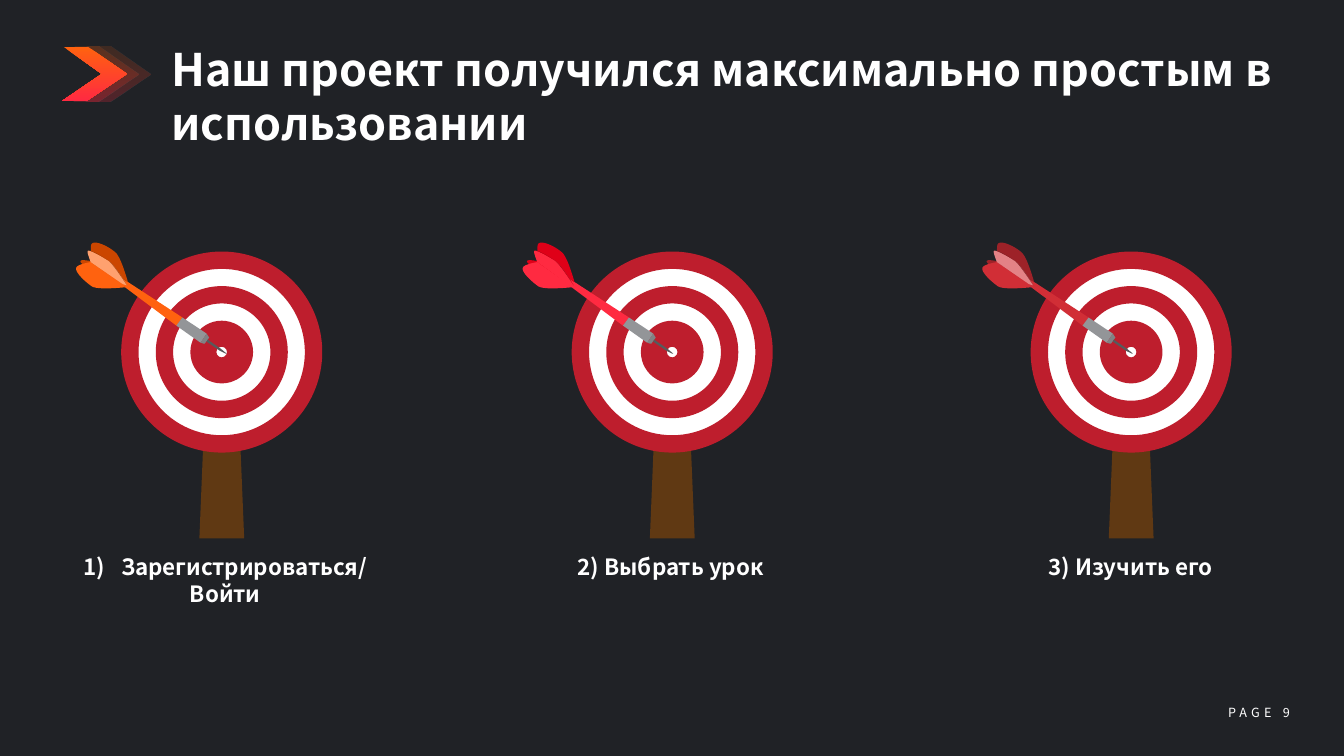
from dataclasses import dataclass

from lxml import etree
from pptx import Presentation
from pptx.dml.color import RGBColor
from pptx.enum import shapes, text
from pptx.oxml import ns
from pptx.util import Pt


@dataclass(frozen=True)
class Theme:
    font: str = "Noto Sans CJK SC"
    background: str = "202226"
    white: str = "FFFFFF"
    post: str = "603913"
    ring: str = "BE1E2D"
    grip: str = "939598"
    collar: str = "808285"
    needle: str = "58595B"
    chevron: tuple = ("FF620F", "FF2A41")
    title_size: int = 32
    caption_size: int = 16
    page_size: int = 9


THEME = Theme()
CENTER_Y = 251.5
DART_TOP = 172.8
RINGS = ((143.6, 12.4), (94.3, 12.4), (44.8, 18.6))  # diameter, thickness

# Two numbers are a line to a point, six are a Bézier curve.
DART_PARTS = (
    ("dark", ((10.8, 13.7), (33.8, 29.5), (36, 31.7),
              (36, 31.7, 20.2, 28.1, 15.8, 24.5),
              (10.8, 20.9, 2.2, 14.4, 3.6, 13.7),
              (3.6, 12.2, 10.8, 13.7, 10.8, 13.7))),
    ("main", ((72, 59.8), (76.3, 54), (16.6, 15.1), (15.1, 17.3))),
    ("main", ((10.8, 14.4), (33.1, 30.2), (35.3, 32.4),
              (35.3, 32.4, 15.8, 34.6, 11.5, 31.7),
              (6.5, 28.1, -1.4, 20.9, 0.7, 18),
              (2.2, 15.8, 10.8, 14.4, 10.8, 14.4))),
    ("dark", ((11.5, 11.5), (37.4, 28.8),
              (37.4, 28.8, 32.4, 10.1, 28.1, 7.2),
              (23, 2.9, 13.7, -1.4, 11.5, 1.4),
              (10.1, 3.6, 11.5, 11.5, 11.5, 11.5))),
    ("light", ((10.8, 14.4), (33.8, 30.2), (36.7, 31),
               (36.7, 31, 28.1, 16.6, 23.8, 13.7),
               (18, 10.1, 9.4, 5, 8.6, 6.5),
               (7.9, 7.2, 10.8, 14.4, 10.8, 14.4))),
    ("grip", ((89.3, 72), (93.6, 65.5), (76.3, 54), (72, 59.8))),
    ("collar", ((95, 67.7), (95.4, 68.4), (92.2, 72.7), (91.4, 72.7),
                (89.3, 72), (93.6, 65.5))),
    ("edge", ((23.8, 13.7), (18.7, 10.1, 10.1, 5, 8.6, 6.5),
              (9.4, 5, 18.7, 10.1, 23.8, 13.7),
              (28.1, 16.6, 36.7, 31, 36.7, 31),
              (35.3, 28.8, 27.4, 16.6, 23.8, 13.7))),
    ("needle", ((103, 77.8), (107.3, 79.9), (108, 79.9), (103.7, 76.3),
                (94.3, 69.8), (93.6, 71.3))),
)

# Target centre, dart left, and the dart's main, dark, light and edge colours.
STEPS = (
    (158.4, 54, ("FF620F", "CB4600", "FFA16F", "872F00")),
    (480.2, 373, ("FF2A41", "DF0018", "FF2A41", "940010")),
    (808, 701.3, ("D12E36", "9D2228", "E38286", "68171B")),
)
# Left, width and lines of each caption.
CAPTIONS = (
    (47.5, 226.8, ("Зарегистрироваться/", "Войти")),
    (398.9, 160.6, ("2) Выбрать урок",)),
    (732.2, 150.5, ("3) Изучить его",)),
)


def paint(shape, color):
    shape.shadow.inherit = False
    shape.line.fill.background()
    shape.fill.solid()
    shape.fill.fore_color.rgb = RGBColor.from_string(color)


def flatten(segments, steps=12):
    """Turn lines and Bézier curves into a list of points."""
    points = [segments[0]]
    for segment in segments[1:]:
        if len(segment) == 2:
            points.append(segment)
            continue
        controls = (points[-1], segment[:2], segment[2:4], segment[4:])
        for step in range(1, steps + 1):
            t = step / steps
            weights = ((1 - t) ** 3, 3 * t * (1 - t) ** 2, 3 * t * t * (1 - t), t ** 3)
            points.append(tuple(sum(weight * control[axis] for weight, control in zip(weights, controls))
                                for axis in (0, 1)))
    return points


def add_outline(parent, segments, left, top, color):
    points = [(Pt(left + x), Pt(top + y)) for x, y in flatten(segments)]
    builder = parent.build_freeform(*points[0], scale=1.0)
    builder.add_line_segments(points[1:], close=True)
    shape = builder.convert_to_shape()
    paint(shape, color)
    return shape


def add_round(parent, preset, center_x, diameter, color):
    shape = parent.add_shape(preset, Pt(center_x - diameter / 2), Pt(CENTER_Y - diameter / 2),
                             Pt(diameter), Pt(diameter))
    paint(shape, color)
    return shape


def add_target(slide, center_x):
    group = slide.shapes.add_group_shape().shapes
    add_outline(group, ((16, 98), (-16, 98), (-12, 0), (12, 0)), center_x, 286.5, THEME.post)
    add_round(group, shapes.MSO_SHAPE.OVAL, center_x, 135, THEME.white)
    for diameter, thickness in RINGS:
        ring = add_round(group, shapes.MSO_SHAPE.DONUT, center_x, diameter, THEME.ring)
        ring.adjustments[0] = thickness / diameter


def add_dart(slide, left, colors):
    palette = dict(zip(("main", "dark", "light", "edge"), colors),
                   grip=THEME.grip, collar=THEME.collar, needle=THEME.needle)
    group = slide.shapes.add_group_shape().shapes
    for part, segments in DART_PARTS:
        add_outline(group, segments, left, DART_TOP, palette[part])


def add_chevron(slide, left, opacities):
    outline = ((0, 39), (28.5, 19.5), (1.1, 0), (18.5, 0), (46.6, 19.5), (17.4, 39))
    shape = add_outline(slide.shapes, outline, left, 33.3, THEME.chevron[0])
    shape.fill.gradient()
    shape.fill.gradient_angle = 270
    for stop, color in zip(shape.fill.gradient_stops, THEME.chevron):
        stop.color.rgb = RGBColor.from_string(color)
    for color, opacity in zip(shape._element.iter(ns.qn("a:srgbClr")), opacities):
        if opacity < 100:
            etree.SubElement(color, ns.qn("a:alpha"), val=str(opacity * 1000))


def add_text(slide, lines, box, size, bold=True, wrap=False, align=text.PP_ALIGN.CENTER):
    frame = slide.shapes.add_textbox(*map(Pt, box)).text_frame
    frame.text = "\n".join(lines)
    frame.word_wrap = wrap
    frame.auto_size = text.MSO_AUTO_SIZE.SHAPE_TO_FIT_TEXT
    for paragraph in frame.paragraphs:
        paragraph.alignment = align
        for run in paragraph.runs:
            style_run(run, size, bold)
    return frame


def style_run(run, size, bold):
    run.font.name = THEME.font
    run.font.size = Pt(size)
    run.font.bold = bold
    run.font.color.rgb = RGBColor.from_string(THEME.white)


def number_paragraph(paragraph):
    properties = paragraph._p.get_or_add_pPr()
    properties.set("marL", str(Pt(27)))
    properties.set("indent", str(Pt(-27)))
    etree.SubElement(properties, ns.qn("a:buAutoNum"), type="arabicParenR")


def add_page_number(slide):
    paragraph = add_text(slide, ["PAGE "], (865.4, 499.7, 67.7, 18), THEME.page_size, bold=False).paragraphs[0]
    paragraph.runs[0].font._element.set("spc", "300")
    number = paragraph.add_run()
    number.text = "9"
    style_run(number, THEME.page_size, False)


def main():
    presentation = Presentation()
    presentation.slide_width, presentation.slide_height = Pt(960), Pt(540)
    slide = presentation.slides.add_slide(presentation.slide_layouts[6])
    slide.background.fill.solid()
    slide.background.fill.fore_color.rgb = RGBColor.from_string(THEME.background)

    add_page_number(slide)
    for center_x, dart_left, colors in STEPS:
        add_target(slide, center_x)
        add_dart(slide, dart_left, colors)
    captions = [add_text(slide, lines, (left, 391.7, width, 26.6 if len(lines) == 1 else 46), THEME.caption_size)
                for left, width, lines in CAPTIONS]
    number_paragraph(captions[0].paragraphs[0])
    add_text(slide, ["Наш проект получился максимально простым в использовании"],
             (115.2, 26.6, 824.4, 85), THEME.title_size, wrap=True, align=text.PP_ALIGN.LEFT)
    for left, opacities in ((60.8, (14, 23)), (52.5, (14, 23)), (44.2, (100, 100))):
        add_chevron(slide, left, opacities)
    presentation.save("out.pptx")


if __name__ == "__main__":
    main()
